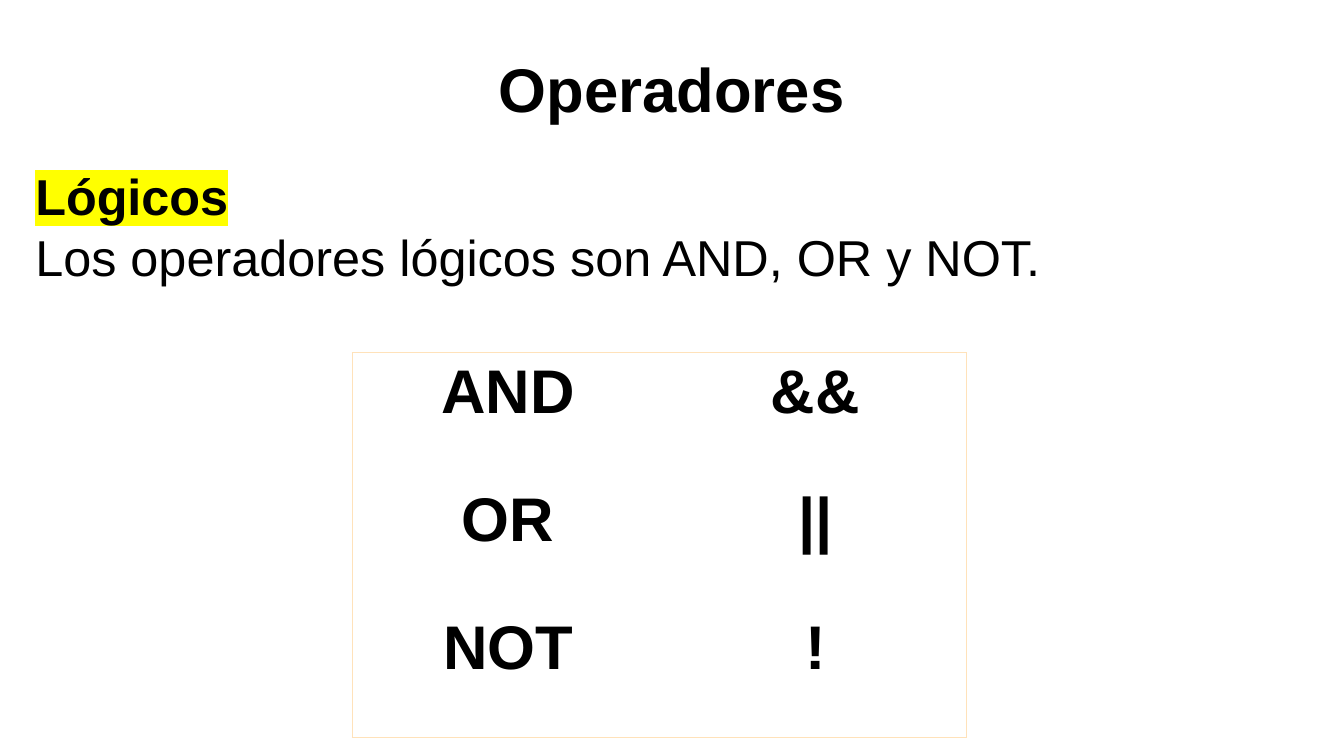
import pptx
import pptx.dml.color
import pptx.enum.text
import pptx.oxml
import pptx.oxml.ns
import pptx.util
from pptx.util import Cm

BLACK = pptx.dml.color.RGBColor(0x00, 0x00, 0x00)
PEACH = pptx.dml.color.RGBColor(0xFF, 0xE2, 0xBA)
YELLOW = pptx.dml.color.RGBColor(0xFF, 0xFF, 0x00)
CENTER = pptx.enum.text.PP_ALIGN.CENTER
NAMESPACE = pptx.oxml.ns.nsdecls("a")


def add_span(para, text, size, bold):
    span = para.add_run()
    span.text = text
    values = {"name": "Arial", "size": pptx.util.Pt(size), "bold": bold}
    for name, value in values.items():
        setattr(span.font, name, value)
    span.font.color.rgb = BLACK
    return span


def set_border(cell, side, color):
    """Draw one side of a cell, or hide it when color is None."""
    line = "<a:noFill/>"
    if color is not None:
        line = f'<a:solidFill><a:srgbClr val="{color}"/></a:solidFill>'
    border = pptx.oxml.parse_xml(f'<a:ln{side} {NAMESPACE} w="9525">{line}</a:ln{side}>')
    cell._tc.get_or_add_tcPr().append(border)


deck = pptx.Presentation()
deck.slide_width, deck.slide_height = Cm(33.87), Cm(19.05)
page = deck.slides.add_slide(deck.slide_layouts[6])

# Title
title = page.shapes.add_textbox(Cm(0), Cm(1.17), Cm(33.87), Cm(2.13)).text_frame
title.word_wrap = True
title.paragraphs[0].alignment = CENTER
add_span(title.paragraphs[0], "Operadores", 44, True)

# Introduction with highlighted heading
intro = page.shapes.add_textbox(Cm(0.64), Cm(4.04), Cm(32.69), Cm(9.65)).text_frame
intro.word_wrap = True
heading = add_span(intro.paragraphs[0], "Lógicos", 36, True)
highlight = pptx.oxml.parse_xml(
    f'<a:highlight {NAMESPACE}><a:srgbClr val="{YELLOW}"/></a:highlight>')
heading.font._element.find(pptx.oxml.ns.qn("a:solidFill")).addnext(highlight)
add_span(intro.add_paragraph(), "Los operadores lógicos son AND, OR y NOT.", 36, False)

# Operator table, framed on its outside only
operators = [("AND", "&&"), ("OR", "||"), ("NOT", "!")]
column_widths = [Cm(7.87), Cm(7.62)]
row_height = Cm(3.23)
table = page.shapes.add_table(
    len(operators), len(column_widths), Cm(8.87), Cm(8.89),
    sum(column_widths), row_height * len(operators)).table
table.first_row = table.horz_banding = False
for column, width in zip(table.columns, column_widths):
    column.width = width

for row, texts in enumerate(operators):
    table.rows[row].height = row_height
    for column, text in enumerate(texts):
        cell = table.cell(row, column)
        para = cell.text_frame.paragraphs[0]
        para.alignment = CENTER
        add_span(para, text, 44, True)
        outer_sides = {
            "L": column == 0,
            "R": column == len(texts) - 1,
            "T": row == 0,
            "B": row == len(operators) - 1,
        }
        for side, is_outer in outer_sides.items():
            set_border(cell, side, PEACH if is_outer else None)
        cell.fill.background()

deck.save("out.pptx")
